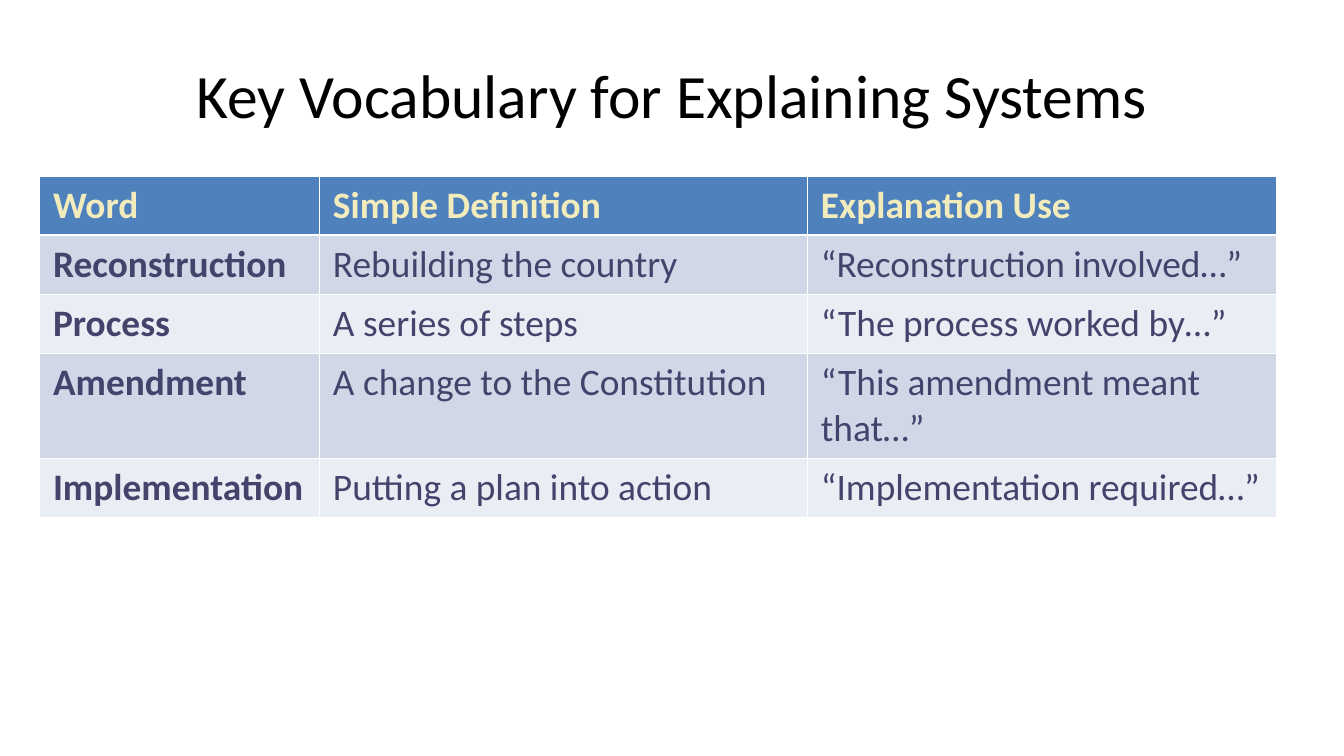
from lxml import etree
from pptx import Presentation
from pptx.dml.color import RGBColor
from pptx.enum.text import MSO_ANCHOR, PP_ALIGN
from pptx.oxml.ns import qn
from pptx.util import Pt

LEFT = PP_ALIGN.LEFT
CENTER = PP_ALIGN.CENTER
MIDDLE = MSO_ANCHOR.MIDDLE

TITLE = "Key Vocabulary for Explaining Systems"
VOCABULARY = [
    ("Word", "Simple Definition", "Explanation Use"),
    ("Reconstruction", "Rebuilding the country", "“Reconstruction involved…”"),
    ("Process", "A series of steps", "“The process worked by…”"),
    ("Amendment", "A change to the Constitution", "“This amendment meant that…”"),
    ("Implementation", "Putting a plan into action", "“Implementation required…”"),
]

THEME = {
    "font": "Calibri",
    "title_size": 33,
    "table_size": 20,
    "title": "000000",
    "header_text": "F2ECBC",
    "body_text": "43436C",
    "header_fill": "4F81BD",
    "bands": ("D0D8E8", "E9EDF4"),
    "background": "FFFFFF",
    "border": "FFFFFF",
}

SLIDE_SIZE = (720, 405)
TITLE_BOX = (36, 16.5, 648, 67.5)
TABLE_ORIGIN = (21.2, 94.3)
COLUMN_WIDTHS = (150, 261.4, 251.6)
ROW_HEIGHTS = (31.7, 31.7, 31.7, 56.3, 31.7)


def write_text(frame, text, *, size, color, bold=False, align=LEFT):
    paragraph = frame.paragraphs[0]
    paragraph.alignment = align
    run = paragraph.add_run()
    run.text = text
    run.font.name = THEME["font"]
    run.font.size = Pt(size)
    run.font.bold = bold
    run.font.color.rgb = RGBColor.from_string(color)


def add_borders(cell, color, width):
    properties = cell._tc.get_or_add_tcPr()
    for side in ("a:lnL", "a:lnR", "a:lnT", "a:lnB"):
        line = etree.SubElement(properties, qn(side), w=str(Pt(width)))
        fill = etree.SubElement(line, qn("a:solidFill"))
        etree.SubElement(fill, qn("a:srgbClr"), val=color)


def add_title(slide):
    frame = slide.shapes.add_textbox(*map(Pt, TITLE_BOX)).text_frame
    frame.word_wrap = True
    frame.vertical_anchor = MIDDLE
    write_text(frame, TITLE, size=THEME["title_size"], color=THEME["title"], align=CENTER)


def add_vocabulary_table(slide):
    bounds = (*TABLE_ORIGIN, sum(COLUMN_WIDTHS), sum(ROW_HEIGHTS))
    shape = slide.shapes.add_table(len(VOCABULARY), len(COLUMN_WIDTHS), *map(Pt, bounds))
    table = shape.table
    for column, width in zip(table.columns, COLUMN_WIDTHS):
        column.width = Pt(width)
    for row, height in zip(table.rows, ROW_HEIGHTS):
        row.height = Pt(height)
    for row_index, entries in enumerate(VOCABULARY):
        is_header = row_index == 0
        fill = THEME["header_fill"] if is_header else THEME["bands"][(row_index - 1) % 2]
        color = THEME["header_text"] if is_header else THEME["body_text"]
        for column_index, text in enumerate(entries):
            cell = table.cell(row_index, column_index)
            add_borders(cell, THEME["border"], 1)
            cell.fill.solid()
            cell.fill.fore_color.rgb = RGBColor.from_string(fill)
            write_text(cell.text_frame, text, size=THEME["table_size"], color=color,
                       bold=is_header or column_index == 0)


def main():
    presentation = Presentation()
    presentation.slide_width, presentation.slide_height = map(Pt, SLIDE_SIZE)
    slide = presentation.slides.add_slide(presentation.slide_layouts[6])
    slide.background.fill.solid()
    slide.background.fill.fore_color.rgb = RGBColor.from_string(THEME["background"])
    add_title(slide)
    add_vocabulary_table(slide)
    presentation.save("out.pptx")


if __name__ == "__main__":
    main()
